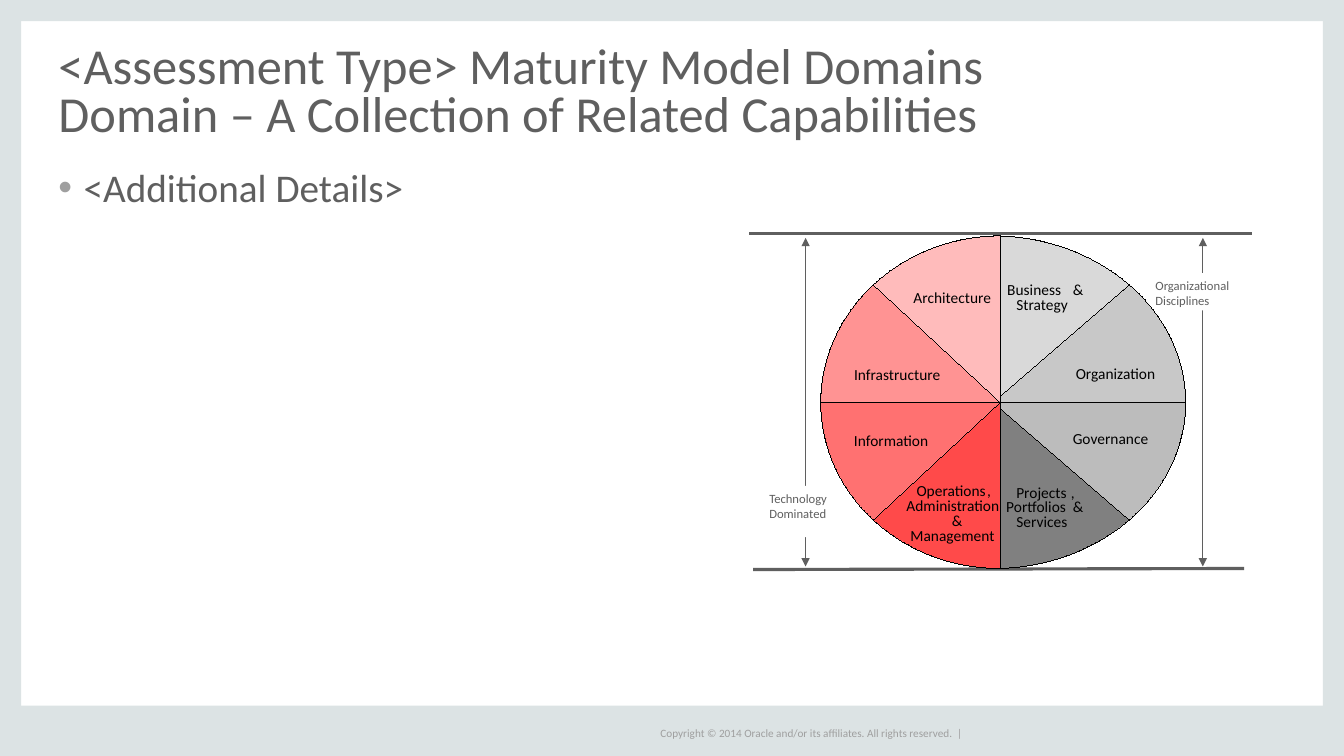
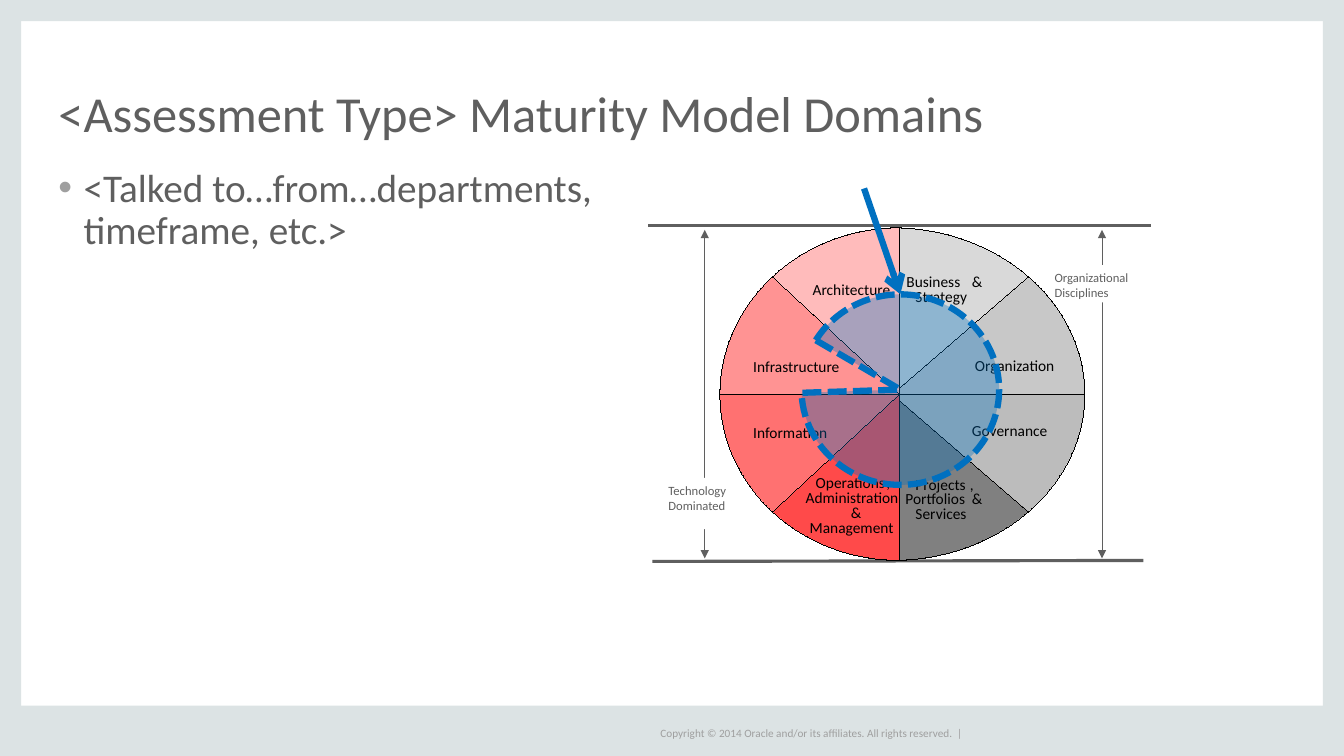
"""Build two slides about the domains of a maturity model."""
import math

from lxml import etree
from pptx import Presentation
from pptx.dml.color import RGBColor
from pptx.enum import dml, shapes, text
from pptx.oxml import ns
from pptx.util import Inches, Pt

BAND = RGBColor(0xDC, 0xE3, 0xE4)
INK = RGBColor(0x5F, 0x5F, 0x5F)
MUTED = RGBColor(0x9F, 0x9F, 0x9F)
BLACK = RGBColor(0, 0, 0)
WHITE = RGBColor(0xFF, 0xFF, 0xFF)
BLUE = RGBColor(0x00, 0x70, 0xC0)
FONT = "Calibri"

BANDS = [(0, 0, 0.21, 7.49), (13.12, 0.01, 0.21, 7.49),
         (0, 7, 13.33, 0.5), (0, 0, 13.33, 0.21)]
COPYRIGHT = "Copyright © 2014 Oracle and/or its affiliates. All rights reserved.  |"

SLIDES = [
    {"title": ["<Assessment Type> Maturity Model Domains",
               "Domain – A Collection of Related Capabilities"],
     "detail": "<Additional Details>", "shift": (0, 0), "scope": False},
    {"title": ["<Assessment Type> Maturity Model Domains"],
     "detail": "<Talked to…from…departments, timeframe, etc.>",
     "shift": (-1, -0.08), "scope": True},
]

WHEEL_Y, WHEEL_RY, WEDGE_ANGLE = 3.99, 1.65, 45
ORGANIZATIONAL = {
    "center": 9.85, "radius": 1.91, "start": -90,
    "colors": ["D9D9D9", "C8C8C8", "BCBCBC", "808080"],
    "labels": [("Business", 9.99, 2.78, 0.67), ("&", 10.64, 2.78, 0.15),
               ("Strategy", 10.08, 2.93, 0.57),
               ("Organization", 10.67, 3.61, 0.87),
               ("Governance", 10.64, 4.26, 0.84),
               ("Projects", 10.08, 4.79, 0.56), (",", 10.62, 4.79, 0.08),
               ("Portfolios", 9.98, 4.93, 0.69), ("&", 10.64, 4.93, 0.15),
               ("Services", 10.08, 5.08, 0.59)],
    "span": 11.93, "note": ["Organizational", "Disciplines"],
    "note_box": (11.46, 2.71, 0.94, 0.37),
}
TECHNOLOGY = {
    "center": 9.92, "radius": 1.78, "start": 90,
    "colors": ["FF4A4A", "FF7171", "FF9393", "FFBBBB"],
    "labels": [("Operations", 9.09, 4.77, 0.75), (",", 9.79, 4.77, 0.08),
               ("Administration", 8.99, 4.92, 1.02), ("&", 9.44, 5.07, 0.15),
               ("Management", 9.03, 5.22, 0.9),
               ("Information", 8.47, 4.28, 0.77),
               ("Infrastructure", 8.47, 3.62, 0.91),
               ("Architecture", 9.06, 2.86, 0.82)],
    "span": 7.99, "note": ["Technology", "Dominated"],
    "note_box": (7.63, 4.82, 0.7, 0.51),
}
TOP_RULE = (7.43, 2.32, 12.42, 2.32)
BOTTOM_RULE = (7.47, 5.65, 12.34, 5.64)
SCOPE_BOX, SCOPE_ANGLES = (7.95, 2.92, 1.96, 1.89), (210.31, 178.15)
SCOPE_POINTER = (8.57, 1.87, 8.93, 2.92)


def inches(values):
    return [Inches(value) for value in values]


def style(run, words, size, color):
    run.text = words
    for name, value in {"name": FONT, "size": Pt(size)}.items():
        setattr(run.font, name, value)
    run.font.color.rgb = color


def write(box, lines, size, color, wrap=True, inset=0, **frame_format):
    frame = box.text_frame
    values = {"margin_left": 0, "margin_right": 0, "margin_top": Inches(inset),
              "margin_bottom": Inches(inset), "word_wrap": wrap,
              "vertical_anchor": text.MSO_ANCHOR.TOP, **frame_format}
    for name, value in values.items():
        setattr(frame, name, value)
    for i, line in enumerate(lines):
        paragraph = frame.add_paragraph() if i else frame.paragraphs[0]
        paragraph.alignment = text.PP_ALIGN.LEFT
        style(paragraph.add_run(), line, size, color)
    return frame.paragraphs[0]


def add_text(slide, box, lines, size, color, **options):
    return write(slide.shapes.add_textbox(*inches(box)), lines, size, color, **options)


def add_rect(slide, box, color):
    rect = slide.shapes.add_shape(shapes.MSO_SHAPE.RECTANGLE, *inches(box))
    rect.shadow.inherit = False
    rect.fill.solid()
    rect.fill.fore_color.rgb = color
    rect.line.fill.background()
    return rect


def add_line(slide, ends, color, width, **arrowheads):
    line = slide.shapes.add_connector(shapes.MSO_CONNECTOR.STRAIGHT, *inches(ends))
    line.line.color.rgb = color
    line.line.width = Pt(width)
    outline = line._element.spPr.find(ns.qn("a:ln"))
    for end, kind in arrowheads.items():
        etree.SubElement(outline, ns.qn(f"a:{end}"), type=kind)
    etree.SubElement(line._element.spPr, ns.qn("a:effectLst"))


def add_wedge(slide, center, radii, start, color):
    first, last = math.radians(start), math.radians(start + WEDGE_ANGLE)
    pull = 4 / 3 * math.tan((last - first) / 4)
    arc = [(first, 0), (first, pull), (last, -pull), (last, 0)]
    points = [inches((center[0] + radii[0] * (math.cos(a) - k * math.sin(a)),
                      center[1] + radii[1] * (math.sin(a) + k * math.cos(a))))
              for a, k in arc]
    builder = slide.shapes.build_freeform(*inches(center))
    builder.add_line_segments(points, close=True)
    wedge = builder.convert_to_shape()
    outline = next(wedge._element.iter(ns.qn("a:path")))
    segments = outline.findall(ns.qn("a:lnTo"))
    curve = etree.Element(ns.qn("a:cubicBezTo"))
    segments[0].addnext(curve)
    for segment in segments[1:4]:
        curve.append(segment[0])
        outline.remove(segment)
    wedge.shadow.inherit = False
    wedge.fill.solid()
    wedge.fill.fore_color.rgb = RGBColor.from_string(color)
    wedge.line.color.rgb = BLACK
    wedge._element.spPr.find(ns.qn("a:ln")).set("w", "0")


def add_half(slide, half, shift):
    dx, dy = shift
    center = (half["center"] + dx, WHEEL_Y + dy)
    for i, color in enumerate(half["colors"]):
        add_wedge(slide, center, (half["radius"], WHEEL_RY),
                  half["start"] + i * WEDGE_ANGLE, color)
    for word, left, top, width in half["labels"]:
        add_text(slide, (left + dx, top + dy, width, 0.17), [word], 11, BLACK,
                 wrap=False, auto_size=text.MSO_AUTO_SIZE.SHAPE_TO_FIT_TEXT)
    x = half["span"] + dx
    add_line(slide, (x, 2.36 + dy, x, 5.62 + dy), INK, 0.75,
             headEnd="triangle", tailEnd="triangle")
    left, top, width, height = half["note_box"]
    note = add_rect(slide, (left + dx, top + dy, width, height), WHITE)
    write(note, half["note"], 9, INK, inset=0.05)


def add_rule(slide, ends, shift):
    add_line(slide, [a + b for a, b in zip(ends, shift * 2)], INK, 2.25)


def add_wheel(slide, shift):
    add_rule(slide, BOTTOM_RULE, shift)
    add_half(slide, ORGANIZATIONAL, shift)
    add_rule(slide, TOP_RULE, shift)
    add_half(slide, TECHNOLOGY, shift)


def add_scope(slide):
    scope = slide.shapes.add_shape(shapes.MSO_SHAPE.PIE, *inches(SCOPE_BOX))
    for i, angle in enumerate(SCOPE_ANGLES):
        scope.adjustments[i] = angle * 0.6
    scope.shadow.inherit = False
    scope.fill.solid()
    scope.fill.fore_color.rgb = BLUE
    tint = scope._element.spPr.find(f"{ns.qn('a:solidFill')}/{ns.qn('a:srgbClr')}")
    etree.SubElement(tint, ns.qn("a:alpha"), val="34000")
    scope.line.color.rgb = BLUE
    scope.line.width = Pt(4.5)
    scope.line.dash_style = dml.MSO_LINE.SQUARE_DOT
    add_line(slide, SCOPE_POINTER, BLUE, 4.5, tailEnd="arrow")


def add_frame(slide, title, detail):
    for band in BANDS:
        add_rect(slide, band, BAND)
    add_text(slide, (6.55, 7.17, 3.05, 0.2), [COPYRIGHT], 8, MUTED, wrap=False,
             vertical_anchor=text.MSO_ANCHOR.MIDDLE)
    heading = add_text(slide, (0.58, 0.44, 12.17, 0.97), title[:1], 36, INK,
                       vertical_anchor=text.MSO_ANCHOR.BOTTOM)
    heading.line_spacing = 0.8
    for line in title[1:]:
        heading.add_line_break()
        style(heading.add_run(), line, 36, INK)
    bullet = add_text(slide, (0.58, 1.67, 6.5, 4.83), [detail], 28, INK)
    props = bullet._p.get_or_add_pPr()
    props.set("marL", str(Inches(0.25)))
    props.set("indent", str(-Inches(0.25)))
    bullet_color = etree.SubElement(props, ns.qn("a:buClr"))
    etree.SubElement(bullet_color, ns.qn("a:srgbClr"), val=str(MUTED))
    etree.SubElement(props, ns.qn("a:buFont"), typeface="Arial")
    etree.SubElement(props, ns.qn("a:buChar"), char="•")
    bullet.font.size = Pt(28)
    bullet.line_spacing = 0.9


def main():
    deck = Presentation()
    deck.slide_width, deck.slide_height = inches((13.33, 7.5))
    for content in SLIDES:
        slide = deck.slides.add_slide(deck.slide_layouts[6])
        add_frame(slide, content["title"], content["detail"])
        add_wheel(slide, content["shift"])
        if content["scope"]:
            add_scope(slide)
    deck.save("out.pptx")


if __name__ == "__main__":
    main()
